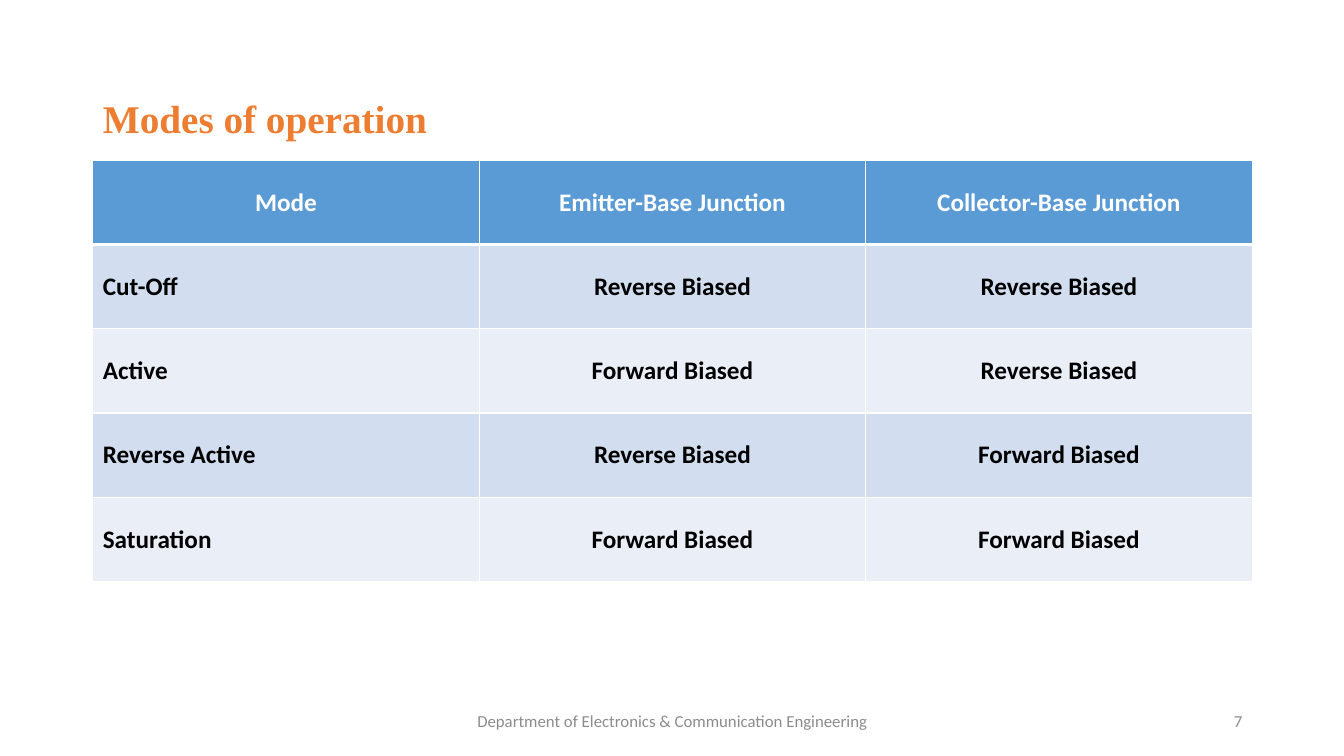
"""Build the slide on the modes of operation of a transistor."""
import pptx
import pptx.util
import pptx.dml.color
import pptx.enum.text
import pptx.oxml
import pptx.oxml.ns
from pptx.util import Inches

COLORS = {"title": "ED7D31", "header": "5B9BD5", "band": "D2DEEF", "light": "EAEFF7",
          "white": "FFFFFF", "black": "000000", "footer": "8C8C8C"}
ALIGN = pptx.enum.text.PP_ALIGN
ANCHOR = pptx.enum.text.MSO_ANCHOR


def rgb(name):
    return pptx.dml.color.RGBColor.from_string(COLORS[name])


def style(p, font, size, color, bold, align):
    p.alignment = align
    p.font.name = font
    p.font.size = pptx.util.Pt(size)
    p.font.bold = bold
    p.font.color.rgb = rgb(color)


prs = pptx.Presentation()
prs.slide_width, prs.slide_height = Inches(13.33), Inches(7.5)
s = prs.slides.add_slide(prs.slide_layouts[5])

title = s.shapes.title
title.left, title.top, title.width, title.height = map(Inches, (0.92, 0.94, 11.5, 0.91))
tf = title.text_frame
tf.text = "Modes of operation"
tf.vertical_anchor = ANCHOR.TOP
tf.paragraphs[0].line_spacing = 0.9
style(tf.paragraphs[0], "Times New Roman", 28, "title", True, ALIGN.LEFT)

rows = [
    ("Mode", "Emitter-Base Junction", "Collector-Base Junction"),
    ("Cut-Off", "Reverse Biased", "Reverse Biased"),
    ("Active", "Forward Biased", "Reverse Biased"),
    ("Reverse Active", "Reverse Biased", "Forward Biased"),
    ("Saturation", "Forward Biased", "Forward Biased"),
]
table = s.shapes.add_table(len(rows), 3, Inches(0.92), Inches(1.59),
                           Inches(11.5), Inches(4.18)).table
for i, row in enumerate(rows):
    fill = "header" if i == 0 else "band" if i % 2 else "light"
    for j, text in enumerate(row):
        cell = table.cell(i, j)
        cell.text = text
        cell.vertical_anchor = ANCHOR.MIDDLE
        tcPr = cell._tc.get_or_add_tcPr()
        for side in "LRTB":
            thick = (i, side) in ((0, "B"), (1, "T"))
            tcPr.append(pptx.oxml.parse_xml(
                f'<a:ln{side} {pptx.oxml.ns.nsdecls("a")} w="{pptx.util.Pt(3 if thick else 1)}">'
                f'<a:solidFill><a:srgbClr val="{COLORS["white"]}"/></a:solidFill></a:ln{side}>'))
        cell.fill.solid()
        cell.fill.fore_color.rgb = rgb(fill)
        style(cell.text_frame.paragraphs[0], "Calibri", 18, "black" if i else "white", True,
              ALIGN.LEFT if i and j == 0 else ALIGN.CENTER)

footers = [
    ("Department of Electronics & Communication Engineering", 4.42, 4.5, ALIGN.CENTER),
    ("7", 9.42, 3, ALIGN.RIGHT),
]
for text, left, width, align in footers:
    tf = s.shapes.add_textbox(Inches(left), Inches(6.95), Inches(width), Inches(0.4)).text_frame
    tf.word_wrap = True
    tf.vertical_anchor = ANCHOR.MIDDLE
    tf.text = text
    style(tf.paragraphs[0], "Calibri", 12, "footer", False, align)

prs.save("out.pptx")
